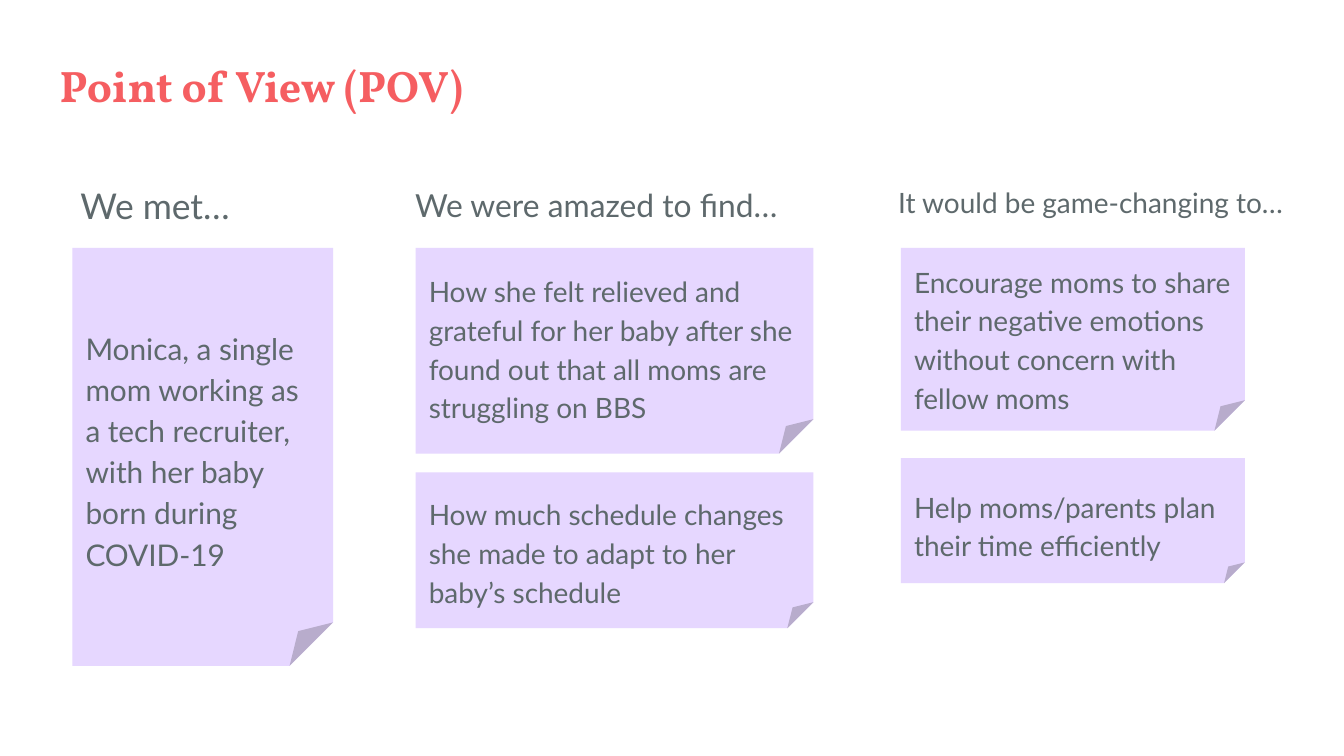
from pptx import Presentation, util as u
from pptx.dml.color import RGBColor
from pptx.enum import shapes, text

COLORS = {"title": "F55E61", "body": "5E696C", "note": "E6D7FF"}
COLS, ROWS = 100, 56.25
WIDTH = u.Inches(10)
HEIGHT = WIDTH * 9 // 16
NOTES_TOP = 18.45


def grid(left, top, width, height):
    """Turn grid columns and rows into slide lengths."""
    col, row = WIDTH / COLS, HEIGHT / ROWS
    return [round(n) for n in (left * col, top * row, width * col, height * row)]


def write(part, words, size, color="body", font="Lato", anchor=text.MSO_ANCHOR.TOP, inset_top=0.1):
    """Fill a part with one styled paragraph and return the paragraph."""
    frame = part.text_frame
    frame.word_wrap = True
    frame.vertical_anchor = anchor
    frame.margin_left = frame.margin_right = frame.margin_bottom = u.Inches(0.1)
    frame.margin_top = u.Inches(inset_top)
    frame.text = words
    line = frame.paragraphs[0]
    line.alignment = text.PP_ALIGN.LEFT
    style = line.runs[0].font
    style.name, style.size = font, u.Pt(size)
    style.color.rgb = RGBColor.from_string(COLORS[color])
    return line


def add_title(slide, box, words):
    """Place the slide title at the foot of its box."""
    title = slide.shapes.add_textbox(*grid(*box))
    line = write(title, words, 23.6, "title", "Vollkorn", text.MSO_ANCHOR.BOTTOM)
    line.runs[0].font.bold = True


def add_heading(slide, box, words, size):
    """Place the heading over a column of notes."""
    heading = slide.shapes.add_textbox(*grid(*box))
    write(heading, words, size).line_spacing = 1.15


def add_notes(slide, box, gap, notes, size):
    """Stack folded notes in a box, sharing its height in the given parts."""
    left, top, width, height = box
    room = height - gap * (len(notes) - 1)
    total = sum(part for part, _ in notes)
    for part, words in notes:
        note_height = room * part / total
        note = slide.shapes.add_shape(shapes.MSO_SHAPE.FOLDED_CORNER,
                                      *grid(left, top, width, note_height))
        note.shadow.inherit = False
        note.fill.solid()
        note.fill.fore_color.rgb = RGBColor.from_string(COLORS["note"])
        note.line.fill.background()
        line = write(note, words, size, anchor=text.MSO_ANCHOR.MIDDLE, inset_top=0.3)
        line.line_spacing = 1.15
        line.space_after = u.Pt(12)
        top += note_height + gap


def main():
    """Build the point of view slide."""
    deck = Presentation()
    deck.slide_width, deck.slide_height = WIDTH, HEIGHT
    slide = deck.slides.add_slide(deck.slide_layouts[6])
    add_title(slide, (3.45, 1, 34.5, 8.25), "Point of View (POV)")

    add_heading(slide, (5, 12.2, 18.9, 4.1), "We met…", 19)
    add_notes(slide, (5.38, NOTES_TOP, 19.4, 31.1), 0, [
        (1, "Monica, a single mom working as a tech recruiter, "
            "with her baby born during COVID-19")], 16)

    add_heading(slide, (29.9, 12.4, 30.7, 4.7), "We were amazed to find…", 17)
    add_notes(slide, (30.92, NOTES_TOP, 29.6, 28.3), 1.4, [
        (15.3, "How she felt relieved and grateful for her baby after she "
               "found out that all moms are struggling on BBS"),
        (11.6, "How much schedule changes she made to adapt to her baby’s schedule")], 15)

    add_heading(slide, (65.85, 12.4, 30.7, 4.7), "It would be game-changing to…", 15)
    add_notes(slide, (67.03, NOTES_TOP, 25.6, 24.95), 2.05, [
        (13.6, "Encourage moms to share their negative emotions "
               "without concern with fellow moms"),
        (9.3, "Help moms/parents plan their time efficiently")], 15)
    deck.save("out.pptx")


if __name__ == "__main__":
    main()
